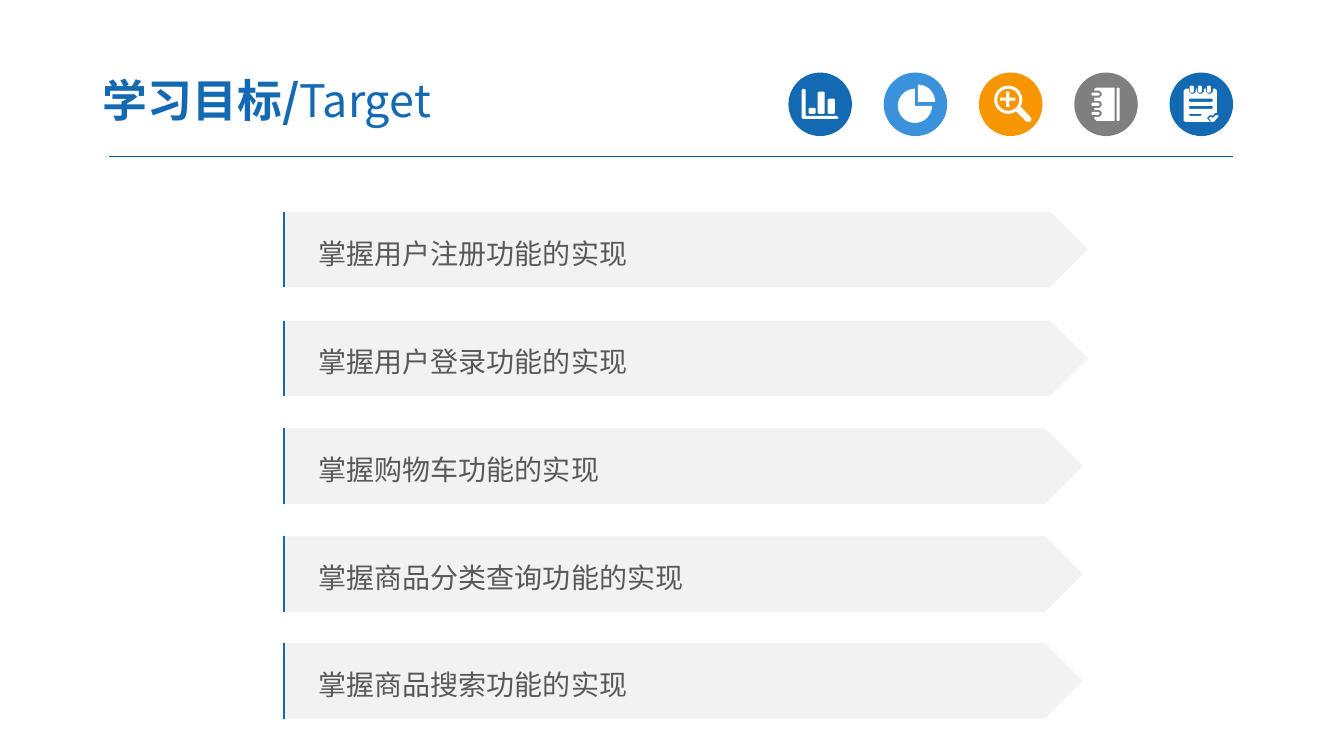
"""Build the learning targets slide with its icon row and five goal arrows."""
from math import cos, radians, sin
from lxml import etree
from pptx import Presentation
from pptx.dml.color import RGBColor
from pptx.enum.shapes import MSO_CONNECTOR, MSO_SHAPE
from pptx.enum.text import MSO_ANCHOR, PP_ALIGN
from pptx.oxml.ns import qn
from pptx.util import Inches, Pt

STRAIGHT = MSO_CONNECTOR.STRAIGHT
OVAL, ARROW = MSO_SHAPE.OVAL, MSO_SHAPE.PENTAGON
MIDDLE, LEFT = MSO_ANCHOR.MIDDLE, PP_ALIGN.LEFT

FONT = "Noto Sans CJK SC"
COLORS = {
    "blue": "1369B2", "sky": "3992DB", "orange": "F79600", "gray": "7F7F7F",
    "rule": "005B9E", "bar": "F2F2F2", "text": "595959", "white": "FFFFFF",
}
TITLE = [("学习目标/", True), ("Target", False)]
GOALS = [
    ("掌握用户注册功能的实现", 2.1, 7.98),
    ("掌握用户登录功能的实现", 3.18, 7.98),
    ("掌握购物车功能的实现", 4.25, 7.93),
    ("掌握商品分类查询功能的实现", 5.32, 7.93),
    ("掌握商品搜索功能的实现", 6.38, 7.93),
]
ICON_LEFT, ICON_TOP, ICON_SIZE, ICON_STEP = 7.82, 0.72, 0.63, 0.945
BAR_LEFT, BAR_HEIGHT = 2.81, 0.75


def slab(left, top, right, bottom, cut=0.01):
    return [
        (left + cut, top), (right - cut, top), (right, top + cut),
        (right, bottom - cut), (right - cut, bottom), (left + cut, bottom),
        (left, bottom - cut), (left, top + cut),
    ]


def arc(x, y, radius, start, end, steps=20):
    angles = [radians(start + (end - start) * step / steps) for step in range(steps + 1)]
    return [(x + radius * cos(angle), y + radius * sin(angle)) for angle in angles]


def notebook():
    body = [(0.22, 0.15), (0.4, 0.15), (0.4, 0.48), (0.22, 0.48), (0.2, 0.46)]
    rings = []
    for top in (0.37, 0.28, 0.18):
        bottom = top + 0.07
        body += [(0.2, bottom), (0.25, bottom), (0.27, bottom - 0.02),
                 (0.27, top + 0.02), (0.25, top), (0.2, top)]
        rings.append(slab(0.17, top + 0.02, 0.25, top + 0.05))
    return [body + [(0.2, 0.16)], slab(0.42, 0.15, 0.45, 0.48), *rings]


def checklist():
    sheet, pins = [(0.14, 0.18), (0.16, 0.16)], []
    for left in (0.19, 0.27, 0.36):
        right = left + 0.07
        sheet += [(left, 0.16), (left, 0.19), (left + 0.02, 0.21),
                  (right - 0.02, 0.21), (right, 0.19), (right, 0.16)]
        pins.append(slab(left + 0.01, 0.13, right - 0.02, 0.2))
    sheet += [(0.45, 0.16), (0.47, 0.18), (0.47, 0.4), (0.45, 0.4), (0.43, 0.43),
              (0.4, 0.42), (0.37, 0.45), (0.4, 0.49), (0.16, 0.49), (0.14, 0.48)]
    lines = [slab(0.19, 0.26, 0.43, 0.29), slab(0.19, 0.33, 0.43, 0.36),
             slab(0.19, 0.41, 0.32, 0.43)]
    check = [(0.49, 0.43), (0.44, 0.49), (0.41, 0.49), (0.39, 0.45),
             (0.41, 0.44), (0.43, 0.45), (0.46, 0.42)]
    return [sheet, *lines, *pins, check]


CHART = [
    [(0.13, 0.17), (0.15, 0.16), (0.17, 0.17), (0.17, 0.43), (0.48, 0.43),
     (0.5, 0.45), (0.48, 0.46), (0.15, 0.46), (0.13, 0.45)],
    slab(0.2, 0.35, 0.27, 0.41), slab(0.29, 0.19, 0.36, 0.41),
    slab(0.39, 0.26, 0.46, 0.41),
]
SHARES = [
    [(0.34, 0.29)] + arc(0.34, 0.29, 0.17, -90, 0),
    [(0.31, 0.33)] + arc(0.31, 0.33, 0.17, 0, 270),
]
MAGNIFIER = [
    arc(0.29, 0.27, 0.14, 56, 389)
    + [(0.5, 0.43), (0.52, 0.46), (0.51, 0.49), (0.48, 0.49), (0.46, 0.48)],
    arc(0.29, 0.27, 0.11, 0, 360),
    [(0.27, 0.19), (0.3, 0.19), (0.3, 0.25), (0.36, 0.25), (0.36, 0.28), (0.3, 0.28),
     (0.3, 0.34), (0.27, 0.34), (0.27, 0.28), (0.21, 0.28), (0.21, 0.25), (0.27, 0.25)],
]
ICONS = [
    ("blue", CHART), ("sky", SHARES), ("orange", MAGNIFIER),
    ("gray", notebook()), ("blue", checklist()),
]


def rgb(name):
    return RGBColor.from_string(COLORS[name])


def paint(block, color):
    block.shadow.inherit = False
    block.fill.solid()
    block.fill.fore_color.rgb = rgb(color)
    block.line.fill.background()


def add_block(page, kind, left, top, width, height, color):
    block = page.shapes.add_shape(
        kind, Inches(left), Inches(top), Inches(width), Inches(height))
    paint(block, color)
    return block


def add_outline(page, left, top, contours, close=True):
    placed = [[(Inches(left + x), Inches(top + y)) for x, y in contour]
              for contour in contours]
    builder = page.shapes.build_freeform(*placed[0][0])
    builder.add_line_segments(placed[0][1:], close=close)
    for contour in placed[1:]:
        builder.move_to(*contour[0])
        builder.add_line_segments(contour[1:], close=close)
    return builder.convert_to_shape()


def add_rule(page):
    rule = page.shapes.add_connector(
        STRAIGHT, Inches(1.08), Inches(1.55), Inches(12.23), Inches(1.55))
    rule.line.color.rgb = rgb("rule")
    rule.line.width = Pt(0.75)
    etree.SubElement(rule._element.spPr, qn("a:effectLst"))


def add_span(para, text, size, color, bold=False):
    span = para.add_run()
    span.text = text
    span.font.name = FONT
    span.font.size = Pt(size)
    span.font.bold = bold
    span.font.color.rgb = rgb(color)
    etree.SubElement(span.font._element, qn("a:ea"), typeface=FONT)


def add_title(page):
    box = page.shapes.add_textbox(Inches(0.89), Inches(0.63), Inches(5.22), Inches(0.72))
    frame = box.text_frame
    frame.word_wrap = True
    frame.vertical_anchor = MIDDLE
    frame.margin_left = frame.margin_right = Inches(0.13)
    frame.margin_top = frame.margin_bottom = Inches(0.07)
    for text, bold in TITLE:
        add_span(frame.paragraphs[0], text, 32, "blue", bold)


def add_goal(page, text, top, width):
    bar = add_block(page, ARROW, BAR_LEFT, top, width, BAR_HEIGHT, "bar")
    frame = bar.text_frame
    frame.word_wrap = True
    frame.vertical_anchor = MIDDLE
    frame.margin_left = Inches(0.35)
    para = frame.paragraphs[0]
    para.alignment = LEFT
    para.line_spacing = 1.2
    add_span(para, text, 20, "text")
    edge = add_outline(page, BAR_LEFT + 0.01, top, [[(0, BAR_HEIGHT), (0, 0)]], close=False)
    edge.shadow.inherit = False
    edge.fill.background()
    edge.line.color.rgb = rgb("blue")
    edge.line.width = Pt(1.5)


def main():
    deck = Presentation()
    deck.slide_width, deck.slide_height = Inches(13.33), Inches(7.5)
    page = deck.slides.add_slide(deck.slide_layouts[6])
    add_rule(page)
    for index, (disc, contours) in enumerate(ICONS):
        left = ICON_LEFT + index * ICON_STEP
        add_block(page, OVAL, left, ICON_TOP, ICON_SIZE, ICON_SIZE, disc)
        paint(add_outline(page, left, ICON_TOP, contours), "white")
    add_title(page)
    for text, top, width in GOALS:
        add_goal(page, text, top, width)
    deck.save("out.pptx")


if __name__ == "__main__":
    main()
